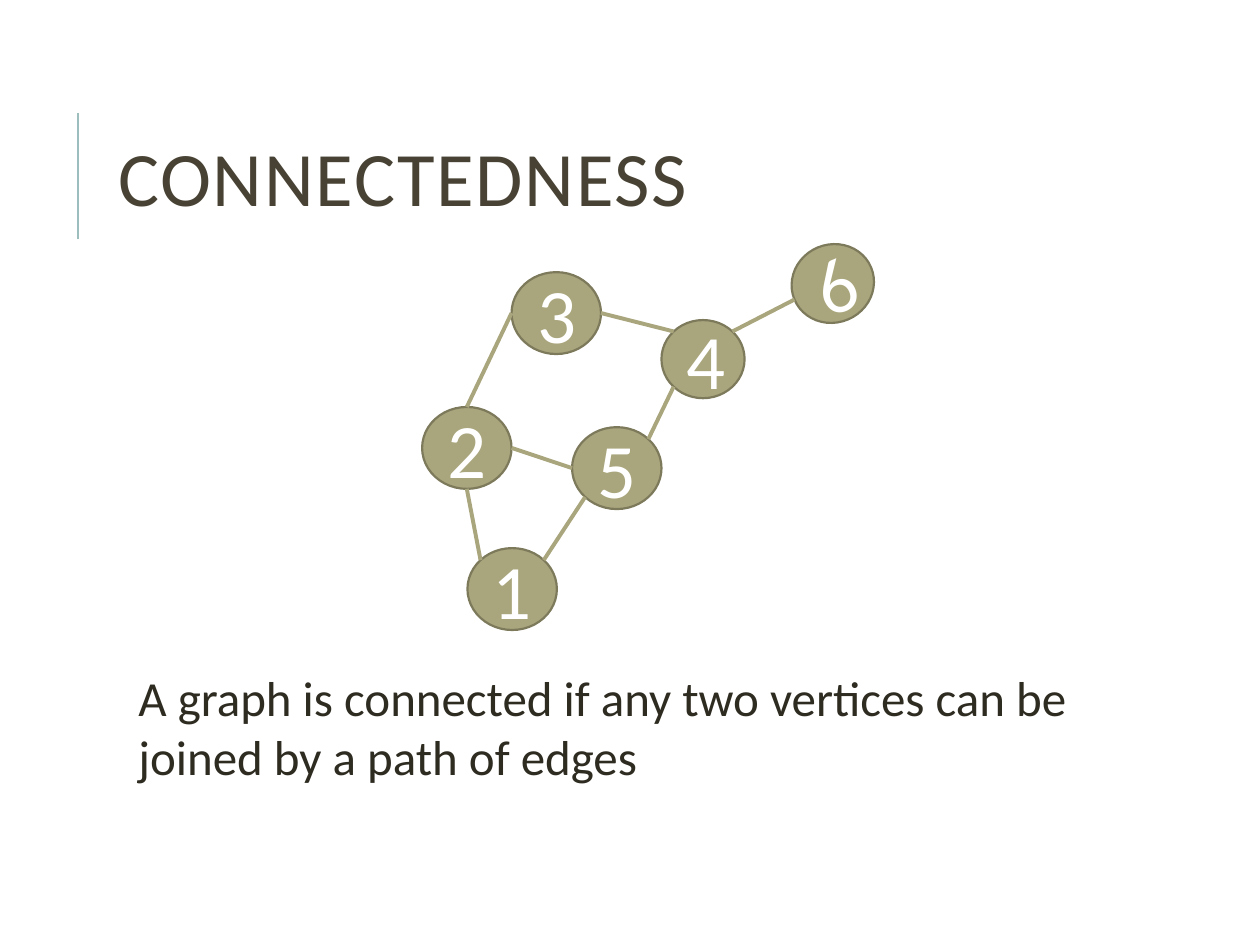
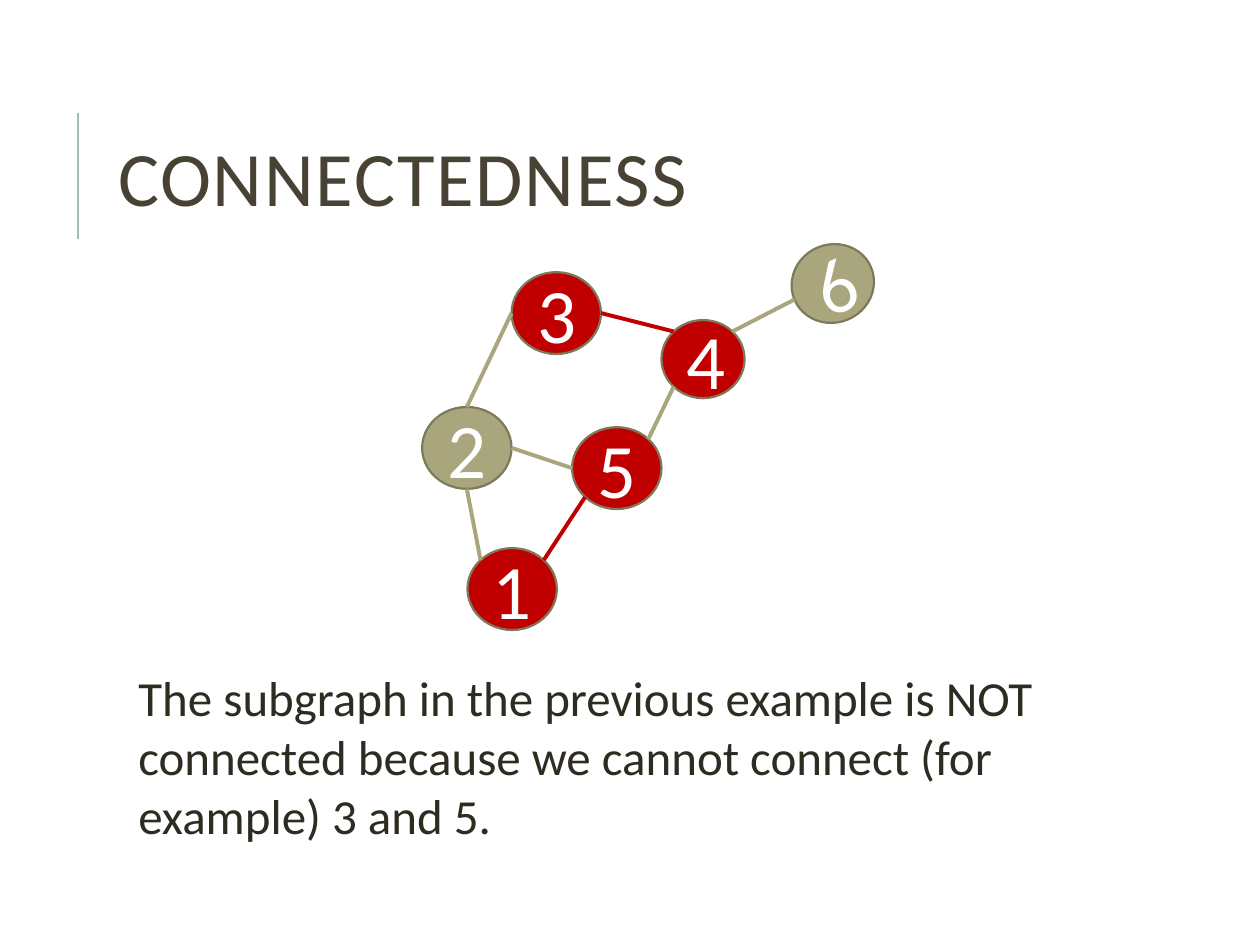
from dataclasses import dataclass
from math import cos, radians, sin

from lxml.etree import SubElement
from pptx import Presentation
from pptx.dml.color import RGBColor as RGB
from pptx.enum.shapes import MSO_CONNECTOR as LINK, MSO_SHAPE as SHAPE
from pptx.enum.text import MSO_ANCHOR as ANCHOR, PP_ALIGN as ALIGN
from pptx.oxml.ns import qn
from pptx.util import Pt

PX = 9144  # 100 px to the inch


@dataclass(frozen=True)
class Theme:
    font: str = "Calibri"
    large: int = 44
    body: int = 28
    title: str = "474233"
    text: str = "2E2B21"
    bar: str = "9CBEBD"
    sand: str = "A9A57C"
    rim: str = "7D7A5C"
    red: str = "C00000"
    white: str = "FFFFFF"


theme = Theme()

# number: left, top, width, height, turn in degrees
nodes = {
    6: (628, 194, 66, 62, -22.7),
    4: (525, 254, 66, 62, 0),
    3: (406, 216, 71, 65, 0),
    5: (454, 339, 71, 65, 0),
    1: (371, 435, 71, 65, 0),
    2: (335, 323, 71, 65, 0),
}

# Angles on a node's rim, clockwise from its right end
RIGHT, LOW_R, LOW, LOW_L, LEFT, TOP_L, TOP, TOP_R = range(0, 360, 45)

edges = [
    (3, RIGHT, 4, TOP_L),
    (4, TOP_R, 6, LEFT),
    (5, TOP_R, 4, LOW_L),
    (2, RIGHT, 5, LEFT),
    (3, LEFT, 2, TOP),
    (5, LOW_L, 1, TOP_R),
    (2, LOW, 1, TOP_L),
]

# caption, red nodes, red edges
pages = [
    ("A graph is connected if any two vertices can be joined by a path of edges",
     (), ()),
    ("The subgraph in the previous example is NOT connected because we cannot "
     "connect (for example) 3 and 5.",
     (1, 3, 4, 5), ((3, 4), (5, 1))),
]


def rim_at(num, angle):
    """Return the point on a node's rim, allowing for the node's turn."""
    left, top, wide, high, turn = nodes[num]
    a, t = radians(angle), radians(turn)
    x, y = wide / 2 * cos(a), high / 2 * sin(a)
    return (left + wide / 2 + x * cos(t) - y * sin(t),
            top + high / 2 + x * sin(t) + y * cos(t))


def set_text(shape, text, size, color):
    """Fill a shape with one wrapped paragraph and return that paragraph."""
    frame = shape.text_frame
    frame.word_wrap = True
    para = frame.paragraphs[0]
    para.text = text
    para.font.name = theme.font
    para.font.size = Pt(size)
    para.font.color.rgb = RGB.from_string(color)
    return para


deck = Presentation()
deck.slide_width, deck.slide_height = 1000 * PX, 750 * PX

for caption, red_nodes, red_edges in pages:
    shapes = deck.slides.add_slide(deck.slide_layouts[6]).shapes

    title = shapes.add_textbox(84 * PX, 64 * PX, 797 * PX, 164 * PX)
    title.text_frame.vertical_anchor = ANCHOR.MIDDLE
    para = set_text(title, "CONNECTEDNESS", theme.large, theme.title)
    para.line_spacing = 0.8
    para.runs[0].font._element.set("spc", "100")

    note = shapes.add_textbox(100 * PX, 525 * PX, 778 * PX, 120 * PX)
    set_text(note, caption, theme.body, theme.text).space_before = Pt(6)

    for num, (left, top, wide, high, turn) in nodes.items():
        node = shapes.add_shape(SHAPE.OVAL, left * PX, top * PX, wide * PX, high * PX)
        node.rotation = turn
        node.shadow.inherit = False
        node.fill.solid()
        fill = theme.red if num in red_nodes else theme.sand
        node.fill.fore_color.rgb = RGB.from_string(fill)
        node.line.color.rgb = RGB.from_string(theme.rim)
        node.line.width = Pt(1.25)
        node.text_frame.vertical_anchor = ANCHOR.MIDDLE
        set_text(node, str(num), theme.large, theme.white).alignment = ALIGN.CENTER

    lines = [((62, 190), (62, 90), theme.bar, 1.5)]
    for a, out, b, into in edges:
        color = theme.red if (a, b) in red_edges else theme.sand
        lines.append((rim_at(a, out), rim_at(b, into), color, 2.25))

    for start, end, color, width in lines:
        ends = [round(v * PX) for v in (*start, *end)]
        line = shapes.add_connector(LINK.STRAIGHT, *ends)
        line.line.color.rgb = RGB.from_string(color)
        line.line.width = Pt(width)
        SubElement(line._element.spPr, qn("a:effectLst"))

deck.save("out.pptx")
